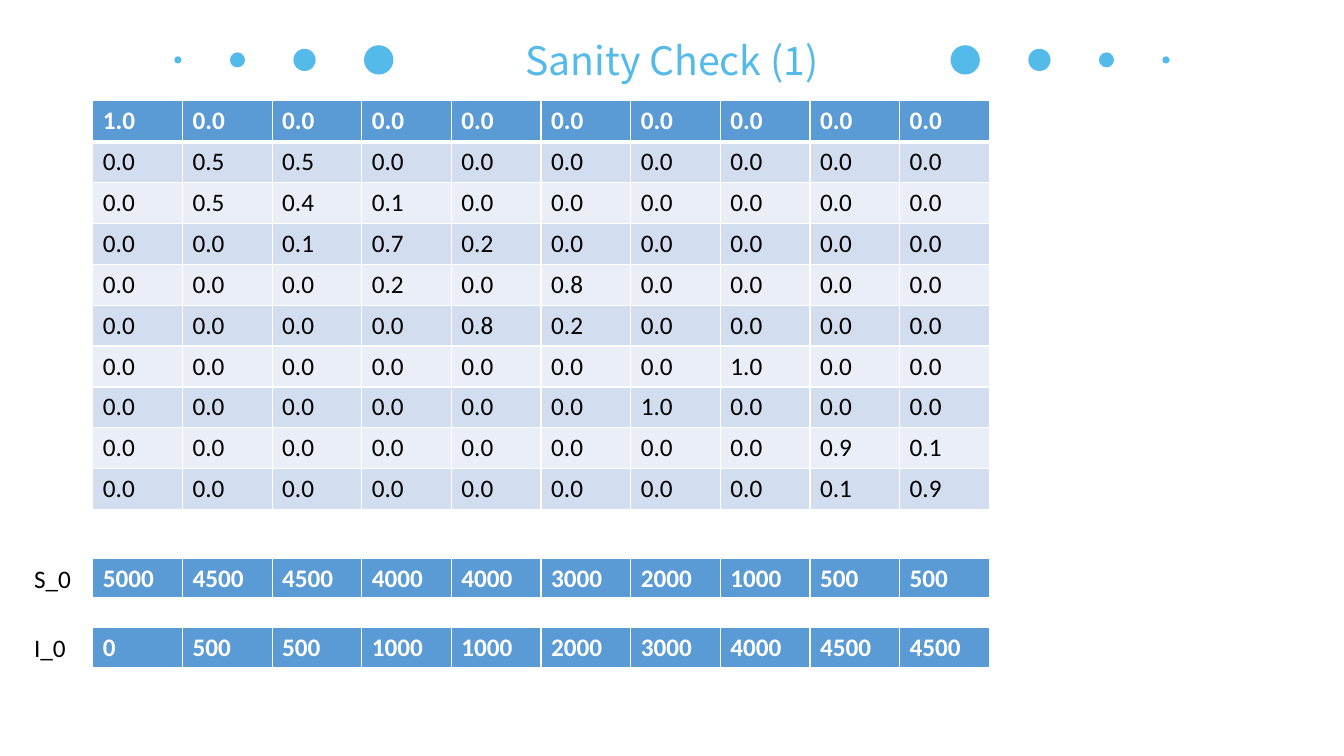
from lxml import etree
from pptx import Presentation
from pptx.dml.color import RGBColor
from pptx.enum.shapes import MSO_SHAPE
from pptx.enum.text import MSO_ANCHOR, MSO_AUTO_SIZE, PP_ALIGN
from pptx.oxml.ns import qn
from pptx.util import Cm, Pt

OVAL = MSO_SHAPE.OVAL
MIDDLE = MSO_ANCHOR.MIDDLE
FIT_SHAPE = MSO_AUTO_SIZE.SHAPE_TO_FIT_TEXT
NO_FIT = MSO_AUTO_SIZE.NONE
CENTER = PP_ALIGN.CENTER

COLORS = {
    "accent": "53BAE9",
    "header": "5B9BD5",
    "band_dark": "D2DEEF",
    "band_light": "EAEFF7",
    "white": "FFFFFF",
    "black": "000000",
}
TITLE_FONT = "Noto Sans CJK SC"
BODY_FONT = "Calibri"

SLIDE_WIDTH, SLIDE_HEIGHT = 33.87, 19.05
TABLE_LEFT, COLUMN_WIDTH, ROW_HEIGHT = 2.34, 2.26, 1.03
LABEL_LEFT = 0.61
DOT_CENTER_Y = 1.51
DOTS = [(7.39, 0.74), (9.26, 0.56), (10.95, 0.38), (12.45, 0.18)]

MATRIX = [
    "1.0 0.0 0.0 0.0 0.0 0.0 0.0 0.0 0.0 0.0",
    "0.0 0.5 0.5 0.0 0.0 0.0 0.0 0.0 0.0 0.0",
    "0.0 0.5 0.4 0.1 0.0 0.0 0.0 0.0 0.0 0.0",
    "0.0 0.0 0.1 0.7 0.2 0.0 0.0 0.0 0.0 0.0",
    "0.0 0.0 0.0 0.2 0.0 0.8 0.0 0.0 0.0 0.0",
    "0.0 0.0 0.0 0.0 0.8 0.2 0.0 0.0 0.0 0.0",
    "0.0 0.0 0.0 0.0 0.0 0.0 0.0 1.0 0.0 0.0",
    "0.0 0.0 0.0 0.0 0.0 0.0 1.0 0.0 0.0 0.0",
    "0.0 0.0 0.0 0.0 0.0 0.0 0.0 0.0 0.9 0.1",
    "0.0 0.0 0.0 0.0 0.0 0.0 0.0 0.0 0.1 0.9",
]
VECTORS = [
    ("S_0", 14.07, "5000 4500 4500 4000 4000 3000 2000 1000 500 500"),
    ("I_0", 15.82, "0 500 500 1000 1000 2000 3000 4000 4500 4500"),
]


def color(name):
    """Return the palette colour called name."""
    return RGBColor.from_string(COLORS[name])


def format_text(frame, font, size, color_name, bold=False):
    """Format every run of a text frame."""
    for para in frame.paragraphs:
        for span in para.runs:
            span.font.name = font
            span.font.size = Pt(size)
            span.font.bold = bold
            span.font.color.rgb = color(color_name)


def set_title(page, text):
    """Move, fill and format the title placeholder."""
    title = page.shapes.title
    title.left, title.top = Cm(12.74), Cm(0.79)
    title.width, title.height = Cm(8.39), Cm(1.45)
    frame = title.text_frame
    frame.text = text
    frame.word_wrap = False
    frame.auto_size = NO_FIT
    frame.vertical_anchor = MIDDLE
    frame.paragraphs[0].alignment = CENTER
    format_text(frame, TITLE_FONT, 28, "accent")


def add_dot(page, center_x, diameter):
    """Add one round dot on the title line."""
    dot = page.shapes.add_shape(
        OVAL, Cm(center_x - diameter / 2), Cm(DOT_CENTER_Y - diameter / 2),
        Cm(diameter), Cm(diameter))
    dot.shadow.inherit = False
    dot.fill.solid()
    dot.fill.fore_color.rgb = color("accent")
    dot.line.fill.background()


def set_borders(cell, top, bottom):
    """Draw white borders around a cell, with widths in points."""
    properties = cell._tc.get_or_add_tcPr()
    for tag, width in (("lnL", 1), ("lnR", 1), ("lnT", top), ("lnB", bottom)):
        line = etree.SubElement(properties, qn(f"a:{tag}"), w=str(Pt(width)))
        fill = etree.SubElement(line, qn("a:solidFill"))
        etree.SubElement(fill, qn("a:srgbClr"), val=COLORS["white"])


def format_cell(cell, row):
    """Format a cell as header or as part of a band."""
    header = row == 0
    set_borders(cell, top=3 if row == 1 else 1, bottom=3 if header else 1)
    band = "band_dark" if row % 2 else "band_light"
    cell.fill.solid()
    cell.fill.fore_color.rgb = color("header" if header else band)
    format_text(cell.text_frame, BODY_FONT, 18,
                "white" if header else "black", bold=header)


def add_grid(page, top, lines):
    """Add a table with one row for each line of values."""
    rows = [line.split() for line in lines]
    columns = len(rows[0])
    table = page.shapes.add_table(
        len(rows), columns, Cm(TABLE_LEFT), Cm(top),
        Cm(COLUMN_WIDTH * columns), Cm(ROW_HEIGHT * len(rows))).table
    for row, values in enumerate(rows):
        for column, value in enumerate(values):
            cell = table.cell(row, column)
            cell.text = value
            format_cell(cell, row)


def add_label(page, top, text):
    """Add the name of a vector to the left of its table."""
    box = page.shapes.add_textbox(Cm(LABEL_LEFT), Cm(top), Cm(1.45), Cm(1.02))
    frame = box.text_frame
    frame.text = text
    frame.word_wrap = False
    frame.auto_size = FIT_SHAPE
    format_text(frame, BODY_FONT, 18, "black")


def main():
    """Build the slide and save it."""
    deck = Presentation()
    deck.slide_width, deck.slide_height = Cm(SLIDE_WIDTH), Cm(SLIDE_HEIGHT)
    page = deck.slides.add_slide(deck.slide_layouts.get_by_name("Title Only"))
    set_title(page, "Sanity Check (1)")
    for side in (-1, 1):
        for offset, diameter in DOTS:
            add_dot(page, SLIDE_WIDTH / 2 + side * offset, diameter)
    add_grid(page, 2.54, MATRIX)
    for name, top, values in VECTORS:
        add_grid(page, top, [values])
        add_label(page, top, name)
    deck.save("out.pptx")


if __name__ == "__main__":
    main()
